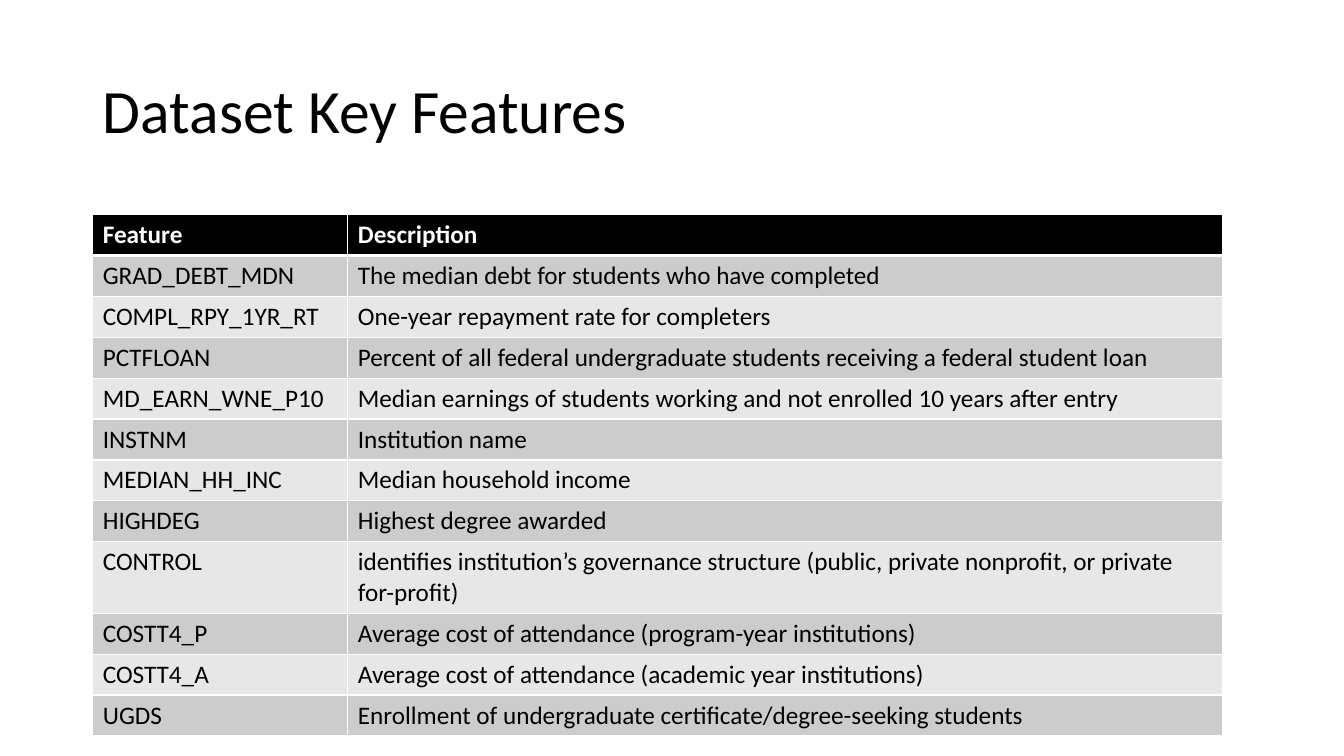
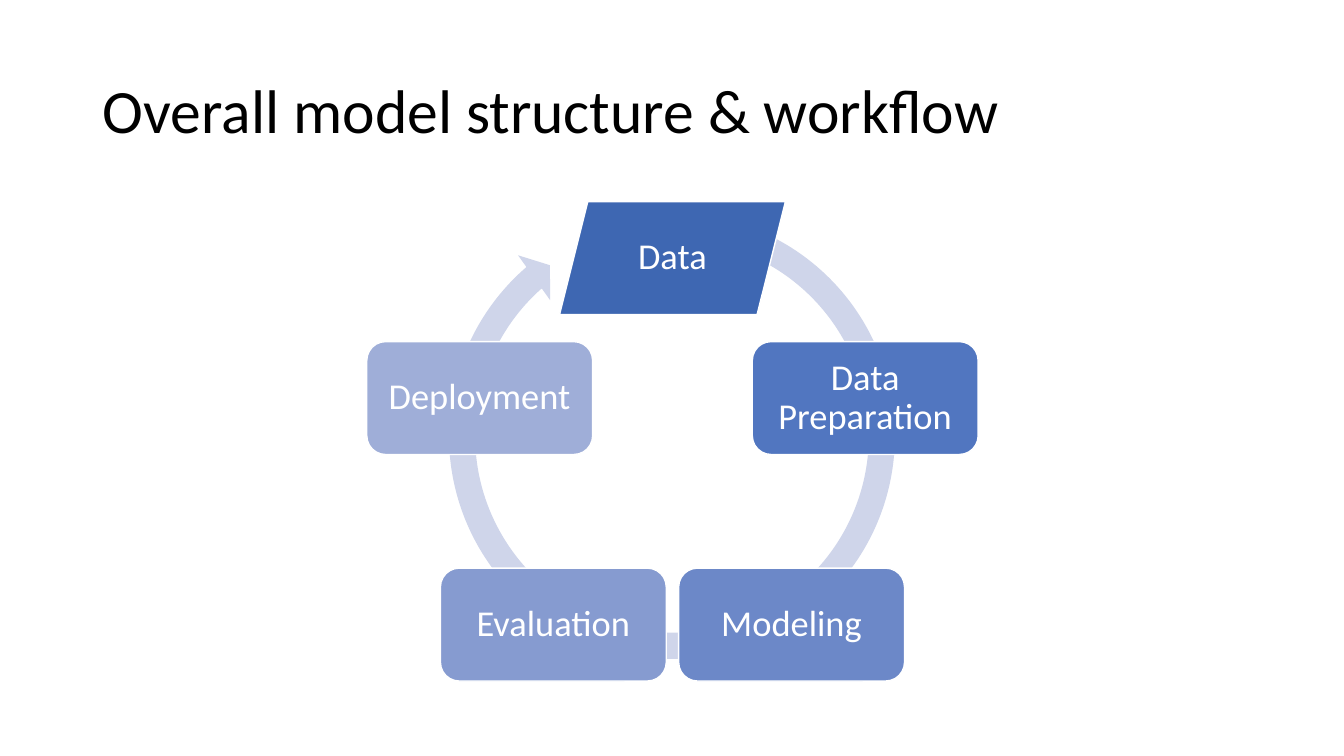
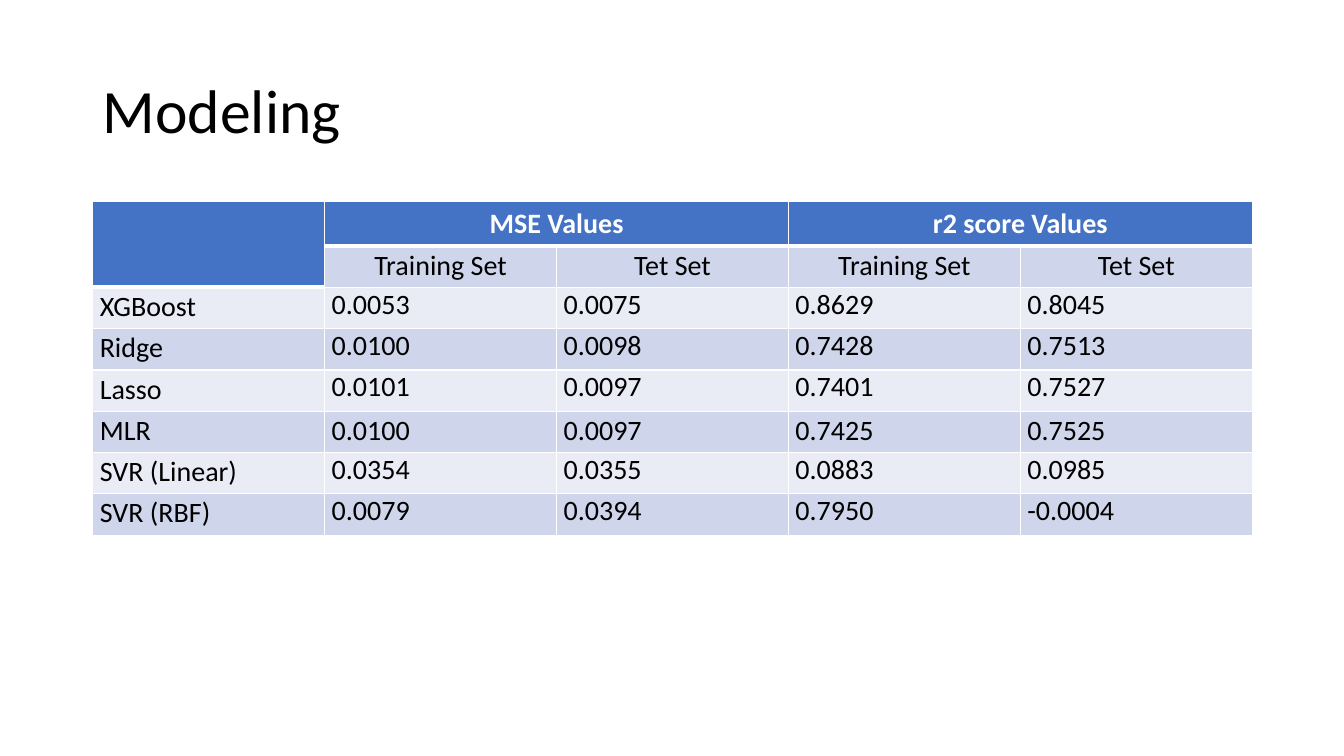
from dataclasses import dataclass
from math import cos, pi, sin

from pptx import Presentation
from pptx.dml.color import RGBColor
from pptx.enum.shapes import MSO_SHAPE
from pptx.enum.text import MSO_ANCHOR, MSO_AUTO_SIZE, PP_ALIGN
from pptx.oxml.ns import qn
from pptx.util import Inches, Pt
from lxml.etree import SubElement


@dataclass(frozen=True)
class Theme:
    font: str = "Calibri"
    black: str = "000000"
    white: str = "FFFFFF"
    blue: str = "4472C4"
    grays: tuple = ("CCCCCC", "E7E7E7")
    blues: tuple = ("CFD5EA", "E9EBF5")
    steps: tuple = ("3E67B2", "5176C0", "6C88C8", "869BD0", "9FAED8")
    title_size: int = 44
    step_size: int = 26
    score_size: int = 20
    feature_size: int = 18
    thin: int = 1
    thick: int = 3
    left: float = 0.92


class Deck:
    def __init__(self, theme):
        self.theme = theme
        self.prs = Presentation()
        self.prs.slide_width = Inches(13.33)
        self.prs.slide_height = Inches(7.5)
        self.s = None

    def slide(self, title):
        t = self.theme
        self.s = self.prs.slides.add_slide(self.prs.slide_layouts[5])
        sp = self.s.shapes.title
        sp.left, sp.top = Inches(t.left), Inches(0.4)
        sp.width, sp.height = Inches(11.5), Inches(1.45)
        tf = sp.text_frame
        tf.text = title
        tf.word_wrap = True
        tf.auto_size = MSO_AUTO_SIZE.NONE
        tf.vertical_anchor = MSO_ANCHOR.MIDDLE
        self.style(tf.paragraphs[0], t.title_size, t.black, spacing=0.9)

    def style(self, p, size, color, bold=False, align=PP_ALIGN.LEFT, spacing=None):
        p.alignment = align
        p.line_spacing = spacing
        for r in p.runs:
            r.font.name = self.theme.font
            r.font.size = Pt(size)
            r.font.bold = bold
            r.font.color.rgb = RGBColor.from_string(color)

    def shape(self, kind, x, y, w, h, fill, outlined=True):
        sp = self.s.shapes.add_shape(kind, Inches(x), Inches(y), Inches(w), Inches(h))
        sp.shadow.inherit = False
        sp.fill.solid()
        sp.fill.fore_color.rgb = RGBColor.from_string(fill)
        if outlined:
            sp.line.color.rgb = RGBColor.from_string(self.theme.white)
            sp.line.width = Pt(self.theme.thin)
        else:
            sp.line.fill.background()
        return sp

    def step(self, kind, cx, cy, text, fill):
        w, h = 2.24, 1.12
        tf = self.shape(kind, cx - w / 2, cy - h / 2, w, h, fill).text_frame
        tf.text = text
        tf.word_wrap = True
        tf.vertical_anchor = MSO_ANCHOR.MIDDLE
        tf.margin_left = tf.margin_right = Inches(0.11)
        tf.margin_top = tf.margin_bottom = Inches(0.11)
        self.style(tf.paragraphs[0], self.theme.step_size, self.theme.white,
                   align=PP_ALIGN.CENTER, spacing=0.9)

    def ring(self, x, y, size, adjustments):
        sp = self.shape(MSO_SHAPE.CIRCULAR_ARROW, x, y, size, size,
                        self.theme.blues[0], outlined=False)
        for i, value in enumerate(adjustments):
            sp.adjustments[i] = value

    def table(self, y, widths, row_height, rows, head, bands, size):
        tbl = self.s.shapes.add_table(
            len(rows), len(widths), Inches(self.theme.left), Inches(y),
            Inches(sum(widths)), Inches(row_height * len(rows))).table
        for column, width in zip(tbl.columns, widths):
            column.width = Inches(width)
        for i, row in enumerate(rows):
            tbl.rows[i].height = Inches(row_height)
            for j, text in enumerate(row):
                self.cell(tbl.cell(i, j), i, text, head, bands, size)
        return tbl

    def cell(self, cell, row, text, head, bands, size):
        t = self.theme
        self.borders(cell, top=t.thick if row == 1 else t.thin,
                     bottom=t.thick if row == 0 else t.thin)
        self.fill(cell, bands[(row - 1) % 2] if row else head)
        cell.text = text
        self.style(cell.text_frame.paragraphs[0], size,
                   t.black if row else t.white, bold=row == 0)

    def fill(self, cell, color):
        cell.fill.solid()
        cell.fill.fore_color.rgb = RGBColor.from_string(color)

    def borders(self, cell, top, bottom):
        thin = self.theme.thin
        tcPr = cell._tc.get_or_add_tcPr()
        for side, width in (("L", thin), ("R", thin), ("T", top), ("B", bottom)):
            ln = SubElement(tcPr, qn(f"a:ln{side}"), w=str(Pt(width)))
            solid = SubElement(ln, qn("a:solidFill"))
            SubElement(solid, qn("a:srgbClr"), val=self.theme.white)


FEATURES = [
    ("Feature", "Description"),
    ("GRAD_DEBT_MDN", "The median debt for students who have completed"),
    ("COMPL_RPY_1YR_RT", "One-year repayment rate for completers"),
    ("PCTFLOAN", "Percent of all federal undergraduate students receiving a federal student loan"),
    ("MD_EARN_WNE_P10", "Median earnings of students working and not enrolled 10 years after entry"),
    ("INSTNM", "Institution name"),
    ("MEDIAN_HH_INC", "Median household income"),
    ("HIGHDEG", "Highest degree awarded"),
    ("CONTROL", "identifies institution’s governance structure (public, private nonprofit, or private for-profit)"),
    ("COSTT4_P", "Average cost of attendance (program-year institutions)"),
    ("COSTT4_A", "Average cost of attendance (academic year institutions)"),
    ("UGDS", "Enrollment of undergraduate certificate/degree-seeking students"),
]

STEPS = ["Data", "Data Preparation", "Modeling", "Evaluation", "Deployment"]

SCORES = [
    ("", "MSE Values", "", "r2 score Values", ""),
    ("", "Training Set", "Tet Set", "Training Set", "Tet Set"),
    ("XGBoost", "0.0053", "0.0075", "0.8629", "0.8045"),
    ("Ridge", "0.0100", "0.0098", "0.7428", "0.7513"),
    ("Lasso", "0.0101", "0.0097", "0.7401", "0.7527"),
    ("MLR", "0.0100", "0.0097", "0.7425", "0.7525"),
    ("SVR (Linear)", "0.0354", "0.0355", "0.0883", "0.0985"),
    ("SVR (RBF)", "0.0079", "0.0394", "0.7950", "-0.0004"),
]


def features_slide(deck):
    t = deck.theme
    deck.slide("Dataset Key Features")
    deck.table(2.13, [2.53, 8.68], 0.33, FEATURES, t.black, t.grays, t.feature_size)


def workflow_slide(deck):
    deck.slide("Overall model structure & workflow")
    deck.ring(4.31, 1.97, 4.71, (0.055, 3.307, 137.364, 174.101, 0.058))
    cx, cy, radius = 6.67, 4.57, 2.01
    for i, (text, color) in enumerate(zip(STEPS, deck.theme.steps)):
        angle = 2 * pi * i / len(STEPS)
        kind = MSO_SHAPE.ROUNDED_RECTANGLE if i else MSO_SHAPE.PARALLELOGRAM
        deck.step(kind, cx + radius * sin(angle), cy - radius * cos(angle), text, color)


def scores_slide(deck):
    t = deck.theme
    deck.slide("Modeling")
    tbl = deck.table(2, [2.3] * 5, 0.41, SCORES, t.blue, t.blues, t.score_size)
    for i, row in enumerate(SCORES):
        for j in range(len(row)):
            cell = tbl.cell(i, j)
            p = cell.text_frame.paragraphs[0]
            if i < 2:
                p.alignment = PP_ALIGN.CENTER
            if i:
                cell.margin_left = cell.margin_right = Inches(0.07)
                cell.margin_top = cell.margin_bottom = 0
                if j == 0 or row[0] in ("", "MLR"):
                    p.line_spacing = 1.07
    deck.fill(tbl.cell(1, 0), t.blue)
    for first, last in (((0, 0), (1, 0)), ((0, 1), (0, 2)), ((0, 3), (0, 4))):
        tbl.cell(*first).merge(tbl.cell(*last))


def main():
    deck = Deck(Theme())
    features_slide(deck)
    workflow_slide(deck)
    scores_slide(deck)
    deck.prs.save("out.pptx")


if __name__ == "__main__":
    main()
